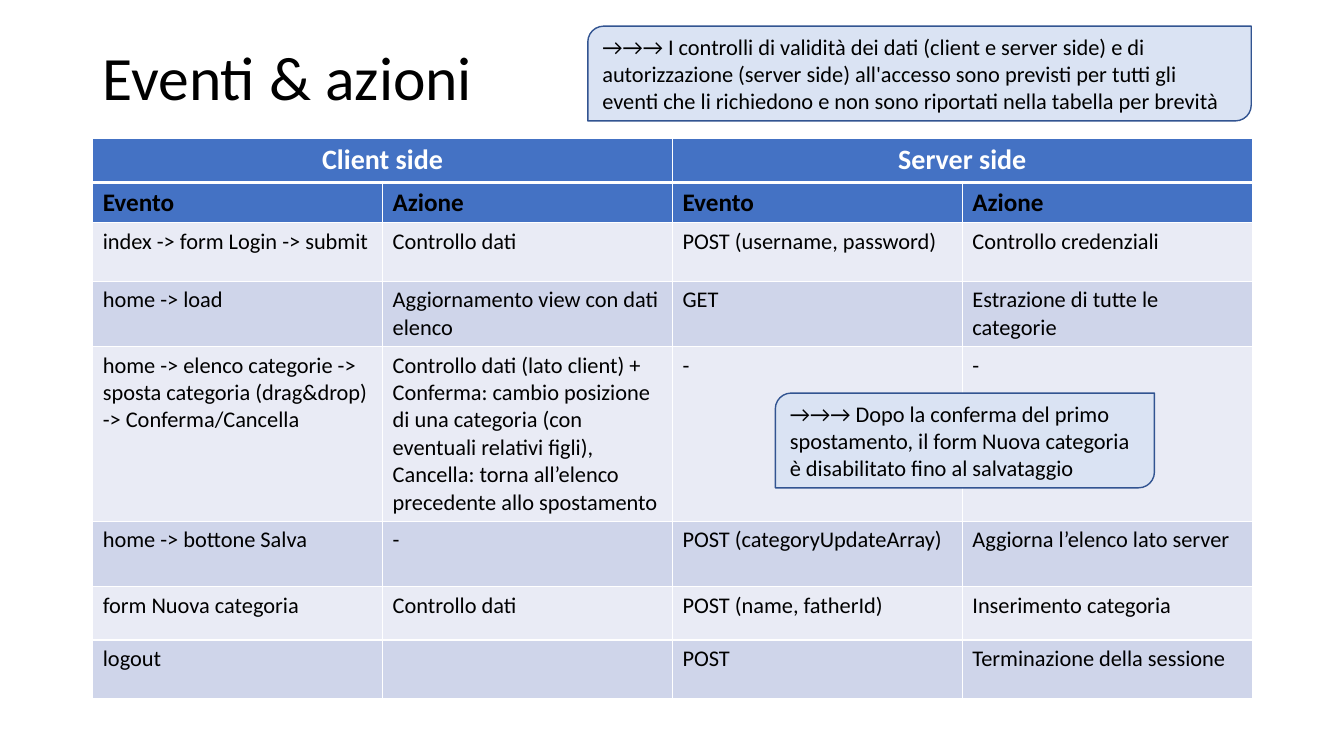
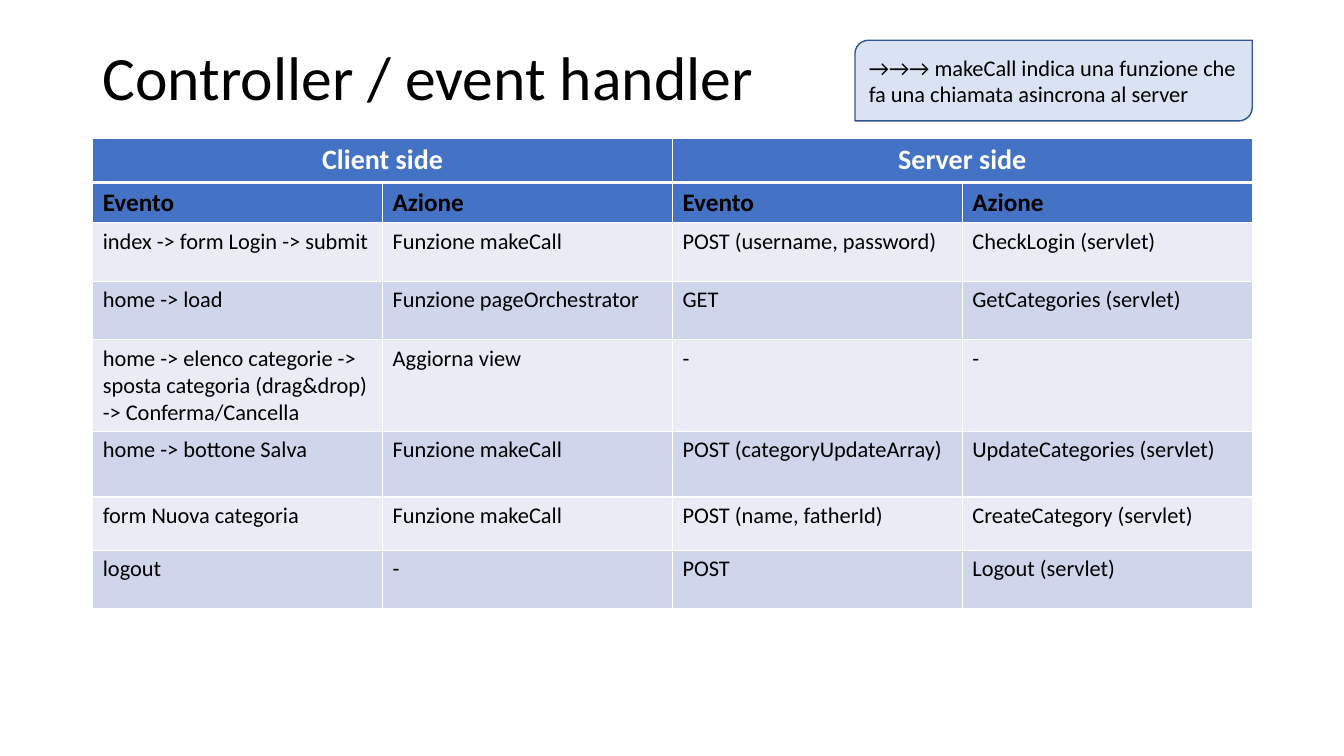
from dataclasses import dataclass

from lxml.etree import SubElement
from pptx import Presentation
from pptx.dml.color import RGBColor
from pptx.enum.shapes import MSO_SHAPE
from pptx.enum.text import MSO_ANCHOR, PP_ALIGN
from pptx.oxml.ns import qn
from pptx.slide import Slide
from pptx.table import _Cell
from pptx.text.text import TextFrame
from pptx.util import Inches, Pt


@dataclass(frozen=True)
class Theme:
    """Font, colours and type sizes shared by the slides."""
    font: str = "Calibri"
    black: str = "000000"
    white: str = "FFFFFF"
    header: str = "4472C4"
    bands: tuple[str, str] = ("E9EBF5", "CFD5EA")
    note_fill: str = "DAE3F3"
    note_line: str = "325491"
    title_size: int = 44
    side_size: int = 20
    heading_size: int = 18
    body_size: int = 16


@dataclass(frozen=True)
class Event:
    """A client event, the request it sends and its usual row height."""
    client: str
    server: str
    height: float


@dataclass(frozen=True)
class Reaction:
    """What each side does on an event; a height replaces the usual one."""
    client: str
    server: str
    height: float | None = None


@dataclass(frozen=True)
class Note:
    """A callout with its place in inches."""
    text: str
    left: float
    top: float
    width: float
    height: float


@dataclass(frozen=True)
class EventSlide:
    """The content of one slide."""
    title: str
    reactions: tuple[Reaction, ...]
    notes: tuple[Note, ...]


THEME = Theme()
LEFT, WIDTH = 0.92, 11.5
TITLE_TOP, TITLE_HEIGHT = 0.4, 0.8
TABLE_TOP = 1.37
HEADER_HEIGHTS = (0.44, 0.39)
SIDES = ("Client side", "Server side")
HEADINGS = ("Evento", "Azione") * len(SIDES)
THIN, THICK = 1, 3
ARROWS = "→" * 3

EVENTS = (
    Event("index -> form Login -> submit", "POST (username, password)", 0.58),
    Event("home -> load", "GET", 0.58),
    Event("home -> elenco categorie -> sposta categoria (drag&drop) "
          "-> Conferma/Cancella", "-", 0.91),
    Event("home -> bottone Salva", "POST (categoryUpdateArray)", 0.65),
    Event("form Nuova categoria", "POST (name, fatherId)", 0.53),
    Event("logout", "POST", 0.58),
)

SLIDES = (
    EventSlide(
        "Eventi & azioni",
        (
            Reaction("Controllo dati", "Controllo credenziali"),
            Reaction("Aggiornamento view con dati elenco",
                     "Estrazione di tutte le categorie", 0.65),
            Reaction("Controllo dati (lato client) + Conferma: cambio posizione "
                     "di una categoria (con eventuali relativi figli), Cancella: "
                     "torna all’elenco precedente allo spostamento", "-", 1.73),
            Reaction("-", "Aggiorna l’elenco lato server"),
            Reaction("Controllo dati", "Inserimento categoria"),
            Reaction("", "Terminazione della sessione"),
        ),
        (
            Note(f"{ARROWS} I controlli di validità dei dati (client e server side) "
                 "e di autorizzazione (server side) all'accesso sono previsti per "
                 "tutti gli eventi che li richiedono e non sono riportati nella "
                 "tabella per brevità", 5.83, 0.26, 6.58, 0.94),
            Note(f"{ARROWS} Dopo la conferma del primo spostamento, il form Nuova "
                 "categoria è disabilitato fino al salvataggio",
                 7.69, 3.9, 3.76, 0.94),
        ),
    ),
    EventSlide(
        "Controller / event handler",
        (
            Reaction("Funzione makeCall", "CheckLogin (servlet)"),
            Reaction("Funzione pageOrchestrator", "GetCategories (servlet)"),
            Reaction("Aggiorna view", "-"),
            Reaction("Funzione makeCall", "UpdateCategories (servlet)"),
            Reaction("Funzione makeCall", "CreateCategory (servlet)"),
            Reaction("-", "Logout (servlet)"),
        ),
        (
            Note(f"{ARROWS} makeCall indica una funzione che fa una chiamata "
                 "asincrona al server", 8.48, 0.4, 3.94, 0.8),
        ),
    ),
)


def write_text(text_frame: TextFrame, text: str, size: int,
               color: str = THEME.black, bold: bool = False,
               alignment: PP_ALIGN = PP_ALIGN.LEFT) -> None:
    """Write one formatted paragraph."""
    text_frame.word_wrap = True
    text_frame.text = text
    paragraph = text_frame.paragraphs[0]
    paragraph.alignment = alignment
    for run in paragraph.runs:
        run.font.name = THEME.font
        run.font.size = Pt(size)
        run.font.bold = bold
        run.font.color.rgb = RGBColor.from_string(color)


def style_cell(cell: _Cell, fill: str, top: int = THIN, bottom: int = THIN) -> None:
    """Fill a cell and give it white borders, widths in points."""
    properties = cell._tc.get_or_add_tcPr()
    for tag, width in (("lnL", THIN), ("lnR", THIN), ("lnT", top), ("lnB", bottom)):
        border = SubElement(properties, qn(f"a:{tag}"), w=str(Pt(width)))
        solid = SubElement(border, qn("a:solidFill"))
        SubElement(solid, qn("a:srgbClr"), val=THEME.white)
    cell.fill.solid()
    cell.fill.fore_color.rgb = RGBColor.from_string(fill)


def add_title(slide: Slide, title: str) -> None:
    """Add the slide title."""
    box = slide.shapes.add_textbox(Inches(LEFT), Inches(TITLE_TOP),
                                   Inches(WIDTH), Inches(TITLE_HEIGHT))
    box.text_frame.vertical_anchor = MSO_ANCHOR.MIDDLE
    write_text(box.text_frame, title, THEME.title_size)
    box.text_frame.paragraphs[0].line_spacing = 0.9


def add_event_table(slide: Slide, reactions: tuple[Reaction, ...]) -> None:
    """Add the table of events and reactions under its two header rows."""
    heights = [*HEADER_HEIGHTS]
    heights += [reaction.height or event.height
                for event, reaction in zip(EVENTS, reactions)]
    table = slide.shapes.add_table(len(heights), len(HEADINGS), Inches(LEFT),
                                   Inches(TABLE_TOP), Inches(WIDTH),
                                   Inches(sum(heights))).table
    table.first_row = table.horz_banding = False
    for row, height in zip(table.rows, heights):
        row.height = Inches(height)

    for column, heading in enumerate(HEADINGS):
        style_cell(table.cell(0, column), THEME.header, bottom=THICK)
        heading_cell = table.cell(1, column)
        style_cell(heading_cell, THEME.header, top=THICK)
        write_text(heading_cell.text_frame, heading, THEME.heading_size, bold=True)
    for index, side in enumerate(SIDES):
        side_cell = table.cell(0, 2 * index)
        side_cell.merge(table.cell(0, 2 * index + 1))
        write_text(side_cell.text_frame, side, THEME.side_size, THEME.white,
                   bold=True, alignment=PP_ALIGN.CENTER)

    for index, (event, reaction) in enumerate(zip(EVENTS, reactions)):
        texts = (event.client, reaction.client, event.server, reaction.server)
        for column, text in enumerate(texts):
            cell = table.cell(index + len(HEADER_HEIGHTS), column)
            style_cell(cell, THEME.bands[index % 2])
            write_text(cell.text_frame, text, THEME.body_size)


def add_note(slide: Slide, note: Note) -> None:
    """Add a callout with two rounded corners."""
    shape = slide.shapes.add_shape(MSO_SHAPE.ROUND_2_DIAG_RECTANGLE,
                                   Inches(note.left), Inches(note.top),
                                   Inches(note.width), Inches(note.height))
    shape.shadow.inherit = False
    shape.fill.solid()
    shape.fill.fore_color.rgb = RGBColor.from_string(THEME.note_fill)
    shape.line.color.rgb = RGBColor.from_string(THEME.note_line)
    shape.line.width = Pt(1)
    shape.text_frame.vertical_anchor = MSO_ANCHOR.MIDDLE
    write_text(shape.text_frame, note.text, THEME.body_size)


def main() -> None:
    """Build and save the presentation."""
    presentation = Presentation()
    presentation.slide_width = Inches(13.33)
    presentation.slide_height = Inches(7.5)
    blank_layout = presentation.slide_layouts[6]
    for content in SLIDES:
        slide = presentation.slides.add_slide(blank_layout)
        add_title(slide, content.title)
        add_event_table(slide, content.reactions)
        for note in content.notes:
            add_note(slide, note)
    presentation.save("out.pptx")


main()
